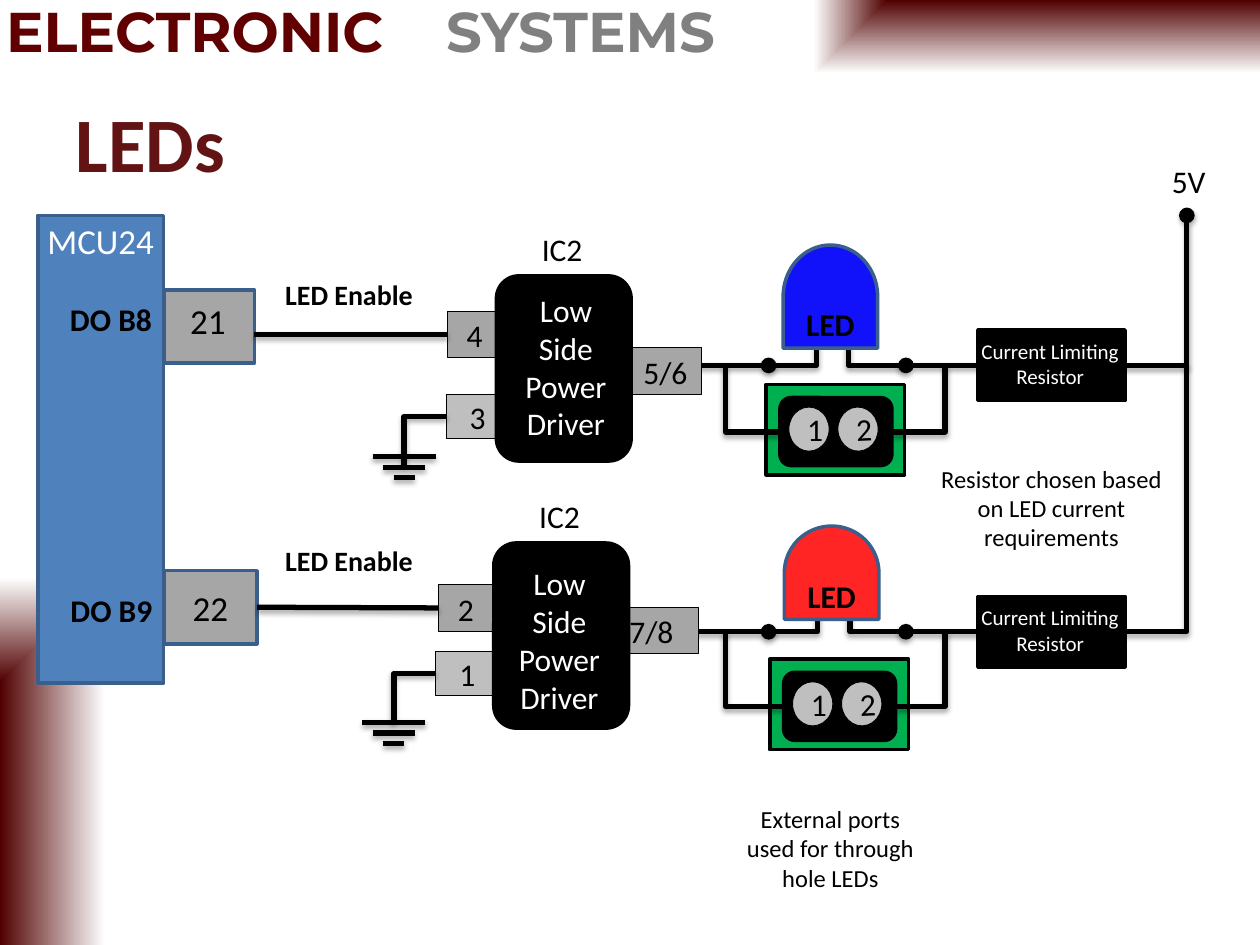
from dataclasses import dataclass
from typing import NamedTuple

from lxml import etree
from pptx import Presentation
from pptx.dml.color import RGBColor
from pptx.enum import shapes, text
from pptx.oxml import ns
from pptx.util import Pt


@dataclass(frozen=True)
class Theme:
    maroon: str = "500000"
    brand: str = "600000"
    title: str = "621414"
    steel: str = "808080"
    white: str = "FFFFFF"
    black: str = "000000"
    chip: str = "4F81BD"
    edge: str = "3A5F8C"
    pin: str = "A6A6A6"
    pale: str = "BFBFBF"
    board: str = "00B050"
    blue: str = "1212FA"
    red: str = "FF2525"
    body_font: str = "Calibri"
    brand_font: str = "Montserrat"
    title_size: int = 44
    brand_size: int = 32
    large: int = 20
    normal: int = 18
    signal: int = 16
    note: int = 14
    small: int = 12


THEME = Theme()
SHAPE = shapes.MSO_SHAPE


class Box(NamedTuple):
    left: float
    top: float
    width: float
    height: float

    def inner(self, across, down, width, height):
        return Box(self.left + across, self.top + down, width, height)

    def points(self):
        return [Pt(value) for value in self]


def add_child(parent, tag, **attributes):
    return etree.SubElement(parent, ns.qn(tag), attributes)


def write(para, words, size=THEME.normal, color=THEME.black, bold=False,
          font=THEME.body_font, align=text.PP_ALIGN.CENTER):
    para.alignment = align
    span = para.add_run()
    span.text = words
    span.font.name, span.font.size, span.font.bold = font, Pt(size), bold
    span.font.color.rgb = RGBColor.from_string(color)


def label(page, box, *lines, **look):
    frame = page.shapes.add_textbox(*box.points()).text_frame
    frame.word_wrap = True
    frame.auto_size = text.MSO_AUTO_SIZE.SHAPE_TO_FIT_TEXT
    for index, words in enumerate(lines):
        para = frame.add_paragraph() if index else frame.paragraphs[0]
        write(para, words, **look)
    return frame


def plate(page, box, fill, edge=THEME.black, weight=2, kind=SHAPE.RECTANGLE, words="", **look):
    shape = page.shapes.add_shape(kind, *box.points())
    shape.shadow.inherit = False
    shape.fill.solid()
    shape.fill.fore_color.rgb = RGBColor.from_string(fill)
    shape.line.color.rgb = RGBColor.from_string(edge)
    shape.line.width = Pt(weight)
    if words:
        shape.text_frame.vertical_anchor = text.MSO_ANCHOR.MIDDLE
        write(shape.text_frame.paragraphs[0], words, **look)
    return shape


def wire(page, start, end, head=False, tail=False, bent=False):
    kind = shapes.MSO_CONNECTOR.ELBOW if bent else shapes.MSO_CONNECTOR.STRAIGHT
    line = page.shapes.add_connector(kind, *[Pt(value) for value in (*start, *end)])
    line.line.color.rgb = RGBColor.from_string(THEME.black)
    line.line.width = Pt(3)
    stroke = line.line._get_or_add_ln()
    for shown, tag in ((head, "a:headEnd"), (tail, "a:tailEnd")):
        if shown:
            add_child(stroke, tag, type="oval")
    effects = add_child(line._element.spPr, "a:effectLst")
    shadow = add_child(effects, "a:outerShdw", blurRad=str(Pt(3.1)), dist=str(Pt(1.8)),
                       dir="5400000", rotWithShape="0")
    color = add_child(shadow, "a:srgbClr", val=THEME.black)
    add_child(color, "a:alpha", val="35000")
    if bent:
        line._element.spPr.find(ns.qn("a:prstGeom")).set("prst", "bentConnector2")
        if end[0] < start[0]:
            frame = line._element.spPr.find(ns.qn("a:xfrm"))
            frame.attrib.pop("flipH", None)
            frame.set("rot", "10800000")
            frame.set("flipV", "0" if end[1] < start[1] else "1")
    return line


def corner_glow(page, box, **focus):
    shape = plate(page, box, THEME.white)
    shape.line.fill.background()
    shape.fill.gradient()
    for stop, place, color in zip(shape.fill.gradient_stops, (0, 1), (THEME.maroon, THEME.white)):
        stop.position = place
        stop.color.rgb = RGBColor.from_string(color)
    gradient = shape._element.spPr.find(ns.qn("a:gradFill"))
    gradient.remove(gradient.find(ns.qn("a:lin")))
    spread = add_child(gradient, "a:path", path="rect")
    add_child(spread, "a:fillToRect", **focus)


def header(page, box):
    corner_glow(page, Box(210, 0, 510, 84), l="100000", b="100000")
    corner_glow(page, Box(0, 120, 120, 420), t="100000", r="100000")
    look = dict(size=THEME.brand_size, bold=True, font=THEME.brand_font, align=text.PP_ALIGN.LEFT)
    frame = label(page, box, "ELECTRONIC\t", color=THEME.brand, **look)
    para = frame.paragraphs[0]
    write(para, "SYSTEMS", color=THEME.steel, **look)
    stops = add_child(para._p.get_or_add_pPr(), "a:tabLst")
    add_child(stops, "a:tab", pos=str(Pt(251.5)), algn="l")


def title(page, box, words):
    shape = page.shapes.title
    shape.left, shape.top, shape.width, shape.height = box.points()
    shape.text_frame.vertical_anchor = text.MSO_ANCHOR.MIDDLE
    write(shape.text_frame.paragraphs[0], words, size=THEME.title_size, color=THEME.title,
          bold=True, align=text.PP_ALIGN.LEFT)


def led(page, box, color, level):
    bottom = box.top + box.height
    for start, end in ((-11, 19), (70, 37.5)):
        wire(page, (box.left + start, level), (box.left + end, bottom - 3), bent=True)
    turn = (box.width - box.height) / 2
    dome = plate(page, box.inner(turn, -turn, box.height, box.width), color, THEME.edge,
                 kind=SHAPE.FLOWCHART_DELAY)
    dome.rotation = 270
    label(page, box.inner(0, box.height - 28, 54, 29), "LED", bold=True)


def ground(page, box, drop):
    center = box.left - 24
    middle = box.top + box.height / 2
    for step, half in enumerate((18, 12, 6)):
        level = middle + drop + 6 * step
        wire(page, (center - half, level), (center + half, level))
    wire(page, (box.left, middle), (center, middle + 28), bent=True)


def driver(page, box, source, pins, offsets, text_at, output_shift, drop):
    entry, earth, output = [box.inner(*offset, *size) for offset, size in
                            zip(offsets, ((42, 26.6), (36, 25.2), (42, 26.6)))]
    plate(page, earth, THEME.pale, weight=0.5, words=pins[1])
    entry_pin = plate(page, entry, THEME.pin, weight=0.5)
    label(page, entry.inner(0.7, -0.7, 30, 29), pins[0])
    plate(page, output, THEME.pin, weight=0.5)
    label(page, output.inner(output_shift, -0.7, 53.3, 29), pins[2])
    plate(page, box, THEME.black, kind=SHAPE.ROUNDED_RECTANGLE)
    label(page, box.inner(*text_at, 75, 94.3), "Low", "Side", "Power", "Driver", color=THEME.white)
    label(page, box.inner(5.8, -30, 63.4, 29), "IC2")
    middle = entry.top + entry.height / 2
    feed = wire(page, (source.left + source.width, middle), (entry.left, middle))
    feed.end_connect(entry_pin, 1)
    ground(page, earth, drop)
    return feed


def resistor(page, box):
    plate(page, box, THEME.black)
    label(page, box.inner(-6.5, 1.4, 95.8, 36), "Current Limiting", "Resistor",
          size=THEME.small, color=THEME.white)


def port(page, box, level):
    socket = box.inner(7.9, 7.6, 64, 38.9)
    plate(page, box, THEME.board)
    plate(page, socket, THEME.black, kind=SHAPE.ROUNDED_RECTANGLE)
    for words, across, angle in (("1", 13, 0), ("2", 41, 357.5)):
        hole = plate(page, box.inner(across, 13, 23, 25.2), THEME.pale, weight=0.5,
                     kind=SHAPE.OVAL, words=words)
        hole.rotation = angle
    middle = box.top + 27.2
    wire(page, (socket.left, middle), (414.7, level), bent=True)
    wire(page, (socket.left + socket.width, middle), (540, level), bent=True)


def channel(page, level, color, dome, chip, source, supply, socket, **details):
    wire(page, (583.2, level), (517.7, level), head=True, tail=True)
    wire(page, (390.2, level), (439.2, level), tail=True)
    led(page, dome, color, level)
    feed = driver(page, chip, source, **details)
    label(page, Box(147.6, level - 54, 103.7, 26.6), "LED Enable", size=THEME.signal, bold=True)
    resistor(page, Box(558.7, level - 20.2, 84.2, 40.3))
    wire(page, (589, level), supply, tail=supply[1] < 150, bent=True)
    port(page, socket, level)
    return feed


def controller(page, box):
    plate(page, box, THEME.chip, THEME.edge)
    label(page, box.inner(-3.6, -1.4, 79.2, 31.7), "MCU24", size=THEME.large, color=THEME.white)
    label(page, box.inner(2.9, 44.6, 77.8, 29), "DO B8", bold=True)
    label(page, box.inner(8.6, 211, 67, 29), "DO B9", bold=True)
    first = box.inner(box.width, 42.5, 51.8, 41.8)
    second = box.inner(box.width, 203, 53.3, 41.8)
    plate(page, first, THEME.pin, THEME.edge)
    label(page, first.inner(-7.2, 2.2, 64.8, 31.7), "21", size=THEME.large)
    pin = plate(page, second, THEME.pin, THEME.edge, words="22", size=THEME.large)
    return first, second, pin


def main():
    deck = Presentation()
    deck.slide_width, deck.slide_height = Pt(720), Pt(540)
    page = deck.slides.add_slide(deck.slide_layouts[5])
    header(page, Box(-3.6, -5.8, 459.4, 46))
    title(page, Box(36, 36, 648, 90), "LEDs")
    first, second, pin = controller(page, Box(21.6, 123.1, 72, 267.1))
    channel(page, 208.8, THEME.blue, Box(447.5, 140, 54, 59), Box(283.7, 157.7, 77, 105.8),
            first, (678.2, 123.1), Box(437.8, 219.6, 79.2, 51.8), pins=("4", "3", "5/6"),
            offsets=((-28.1, 20.2), (-28.8, 67.7), (74.9, 41)), text_at=(2.2, 5),
            output_shift=-5, drop=23)
    feed = channel(page, 361, THEME.red, Box(448.2, 300.6, 54, 53.3), Box(282.2, 310.3, 77, 105.8),
                   second, (678.2, 208.1), Box(439.9, 376.6, 79.2, 51.8), pins=("2", "1", "7/8"),
                   offsets=((-31.7, 23.8), (-33.1, 61.9), (74.9, 36.7)), text_at=(0, 8.6),
                   output_shift=-11.5, drop=28)
    feed.begin_connect(pin, 3)
    label(page, Box(637.2, 89.3, 84.2, 29), "5V")
    label(page, Box(529.2, 261.4, 143.3, 58), "Resistor chosen based on LED current requirements",
          size=THEME.note)
    label(page, Box(414, 455.8, 121, 58), "External ports used for through hole LEDs", size=THEME.note)
    deck.save("out.pptx")


if __name__ == "__main__":
    main()
